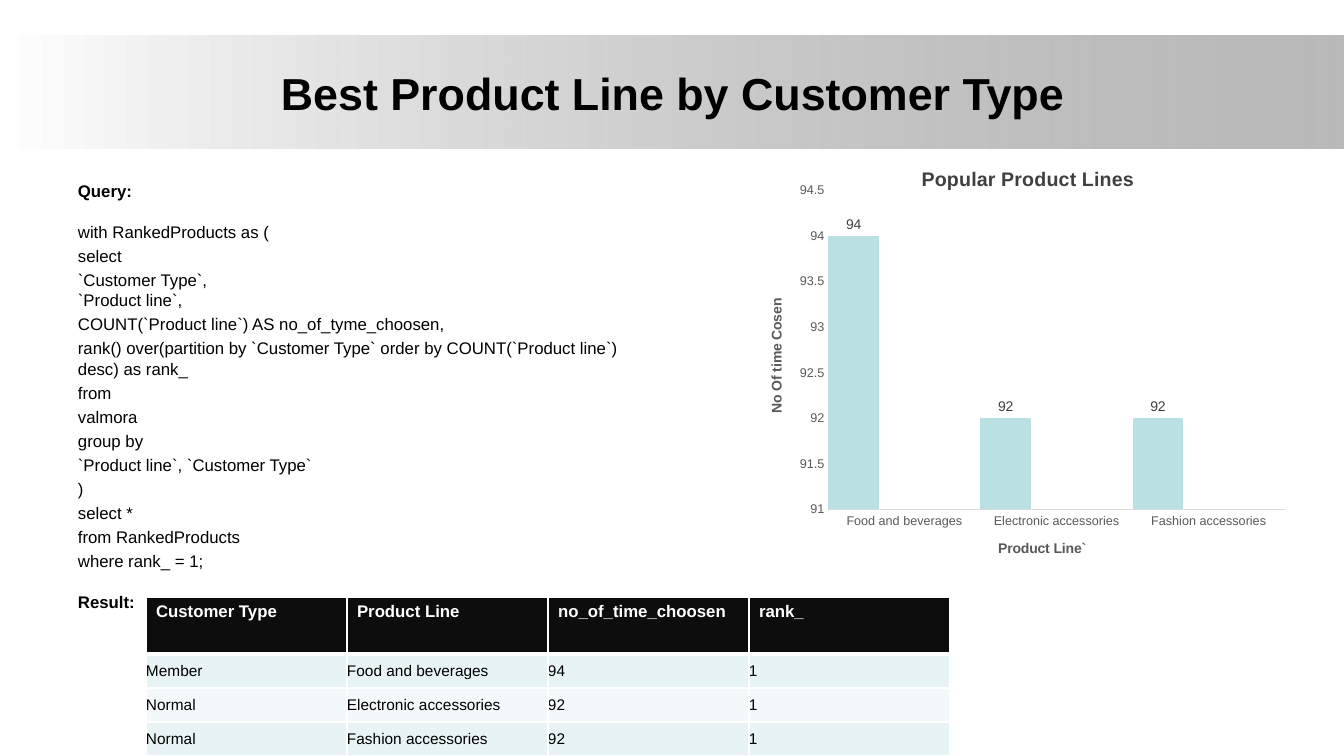
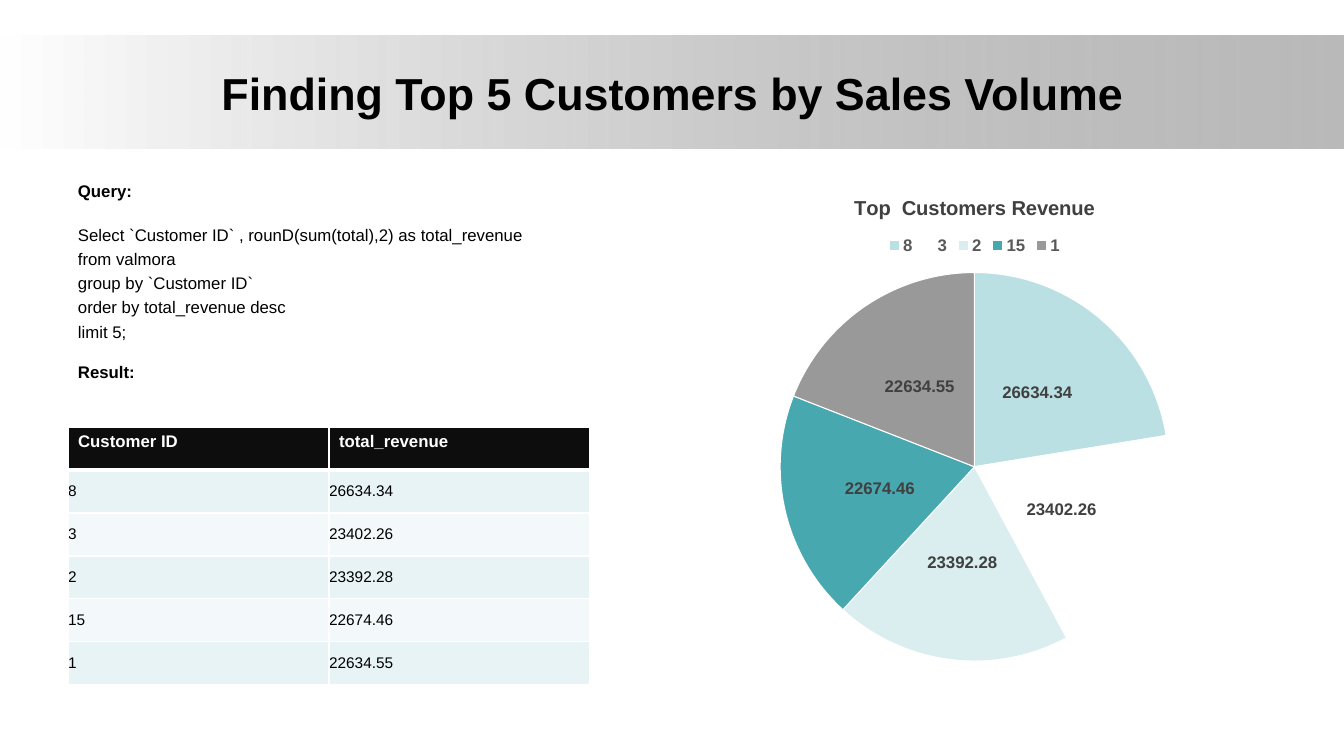
from lxml.etree import SubElement
from pptx import Presentation
from pptx.chart.data import CategoryChartData
from pptx.dml.color import RGBColor
from pptx.enum.chart import XL_CHART_TYPE, XL_LABEL_POSITION, XL_LEGEND_POSITION, XL_TICK_MARK
from pptx.enum.shapes import MSO_SHAPE
from pptx.enum.text import MSO_ANCHOR, PP_ALIGN
from pptx.oxml.ns import qn
from pptx.oxml import parse_xml
from pptx.util import Pt

PX = 9072
FONT = "Arial"
BLACK, WHITE, HEADER = "000000", "FFFFFF", "0D0D0D"
BANDS = ["E7F3F4", "F3F9FA"]
CHART_TITLE, CHART_TEXT, AXIS_LINE = "404040", "595959", "D9D9D9"
SLICES = ["BBE0E3", "FFFFFF", "DAEDEF", "48A8B0", "999999"]
COLUMNS = ["BBE0E3", "333399", "FFFFFF"]
colour = RGBColor.from_string


def style(font, size=12, hue=BLACK, bold=False):
    font.name = FONT
    font.size = Pt(size)
    font.bold = bold
    font.color.rgb = colour(hue)


def write(para, text, before=0, align=None, **look):
    para.text = text
    para.space_before = Pt(before)
    para.alignment = align
    for span in para.runs:
        style(span.font, **look)


SLIDES = [
    {
        "title": "Best Product Line by Customer Type",
        "query_gap": 14.6,
        "query": [
            "with RankedProducts as (",
            "select",
            "`Customer Type`,\n`Product line`,",
            "COUNT(`Product line`) AS no_of_tyme_choosen,",
            "rank() over(partition by `Customer Type` order by COUNT(`Product line`) desc) as rank_",
            "from",
            "valmora",
            "group by",
            "`Product line`, `Customer Type`",
            ")",
            "select *",
            "from RankedProducts",
            "where rank_ = 1;",
        ],
        "table_at": (146, 597),
        "column_width": 201,
        "row_heights": (57, 34),
        "rows": [
            ["Customer Type", "Product Line", "no_of_time_choosen", "rank_"],
            ["Member", "Food and beverages", "94", "1"],
            ["Normal", "Electronic accessories", "92", "1"],
            ["Normal", "Fashion accessories", "92", "1"],
        ],
        "chart_type": XL_CHART_TYPE.COLUMN_CLUSTERED,
        "chart_at": (756, 149, 544, 435),
        "chart_title": "Popular Product Lines",
        "title_size": 14,
        "categories": ["Food and beverages", "Electronic accessories", "Fashion accessories"],
        "series": [[94, 92, 92], [None] * 3, [None] * 3],
        "label_look": {"size": 10},
        "label_position": XL_LABEL_POSITION.OUTSIDE_END,
    },
    {
        "title": "Finding Top 5 Customers by Sales Volume",
        "query_gap": 17,
        "query": [
            "Select `Customer ID` , rounD(sum(total),2) as total_revenue",
            "from valmora",
            "group by `Customer ID`",
            "order by total_revenue desc",
            "limit 5;",
        ],
        "table_at": (68, 427),
        "column_width": 261,
        "row_heights": (43, 43),
        "rows": [
            ["Customer ID", "total_revenue"],
            ["8", "26634.34"],
            ["3", "23402.26"],
            ["2", "23392.28"],
            ["15", "22674.46"],
            ["1", "22634.55"],
        ],
        "chart_type": XL_CHART_TYPE.PIE,
        "chart_at": (672, 176, 605, 499),
        "chart_title": "Top  Customers Revenue",
        "title_size": 14.4,
        "categories": ["8", "3", "2", "15", "1"],
        "series": [[26634.34, 23402.26, 23392.28, 22674.46, 22634.55]],
        "label_look": {"size": 12, "bold": True},
        "label_position": XL_LABEL_POSITION.CENTER,
    },
]

deck = Presentation()
deck.slide_width, deck.slide_height = 1344 * PX, 756 * PX
charts = []

for content in SLIDES:
    page = deck.slides.add_slide(deck.slide_layouts[6])

    band = page.shapes.add_shape(MSO_SHAPE.RECTANGLE, 0, 36 * PX, 1344 * PX, 113 * PX)
    band.shadow.inherit = False
    band.line.fill.background()
    band.fill.gradient()
    band.fill.gradient_angle = 0
    for stop, hue in zip(band.fill.gradient_stops, [WHITE, "808080"]):
        stop.color.rgb = colour(hue)
    grey = band.element.findall(".//" + qn("a:srgbClr"))[-1]
    SubElement(grey, qn("a:alpha"), val="54000")

    title = page.shapes.add_textbox(68 * PX, 30 * PX, 1210 * PX, 126 * PX).text_frame
    title.word_wrap = True
    title.vertical_anchor = MSO_ANCHOR.MIDDLE
    write(title.paragraphs[0], content["title"], align=PP_ALIGN.CENTER, size=32, bold=True)

    body = page.shapes.add_textbox(68 * PX, 176 * PX, 594 * PX, 499 * PX).text_frame
    body.word_wrap = True
    write(body.paragraphs[0], "Query:", bold=True)
    for number, line in enumerate(content["query"]):
        write(body.add_paragraph(), line, before=2.8 if number else content["query_gap"])
    write(body.add_paragraph(), "Result:", before=14.6, bold=True)

    rows = content["rows"]
    left, top = content["table_at"]
    head_height, row_height = content["row_heights"]
    width = content["column_width"] * len(rows[0])
    height = head_height + row_height * (len(rows) - 1)
    table = page.shapes.add_table(
        len(rows), len(rows[0]), left * PX, top * PX, width * PX, height * PX
    ).table
    table.horz_banding = False
    for column in table.columns:
        column.width = content["column_width"] * PX
    for r, values in enumerate(rows):
        table.rows[r].height = (row_height if r else head_height) * PX
        for c, value in enumerate(values):
            cell = table.cell(r, c)
            if r:
                cell.margin_left = cell.margin_right = cell.margin_top = cell.margin_bottom = 0
                cell.vertical_anchor = MSO_ANCHOR.MIDDLE
                write(cell.text_frame.paragraphs[0], value, size=11)
            else:
                write(cell.text_frame.paragraphs[0], value, hue=WHITE, bold=True)
            edges = {"L": 1, "R": 1, "T": 3 if r == 1 else 1, "B": 1 if r else 3}
            properties = cell._tc.get_or_add_tcPr()
            for side, points in edges.items():
                edge = SubElement(properties, qn("a:ln" + side), w=str(Pt(points)))
                SubElement(SubElement(edge, qn("a:solidFill")), qn("a:srgbClr"), val=WHITE)
            cell.fill.solid()
            cell.fill.fore_color.rgb = colour(BANDS[(r - 1) % 2] if r else HEADER)

    data = CategoryChartData()
    data.categories = content["categories"]
    for number, values in enumerate(content["series"], 1):
        data.add_series(f"Series {number}", values)
    place = [length * PX for length in content["chart_at"]]
    chart = page.shapes.add_chart(content["chart_type"], *place, data).chart
    style(chart.font, size=10)
    chart.has_title = True
    write(
        chart.chart_title.text_frame.paragraphs[0], content["chart_title"],
        size=content["title_size"], hue=CHART_TITLE, bold=True,
    )
    chart.has_legend = False
    plot = chart.plots[0]
    plot.has_data_labels = True
    labels = plot.data_labels
    labels.show_value = True
    labels.position = content["label_position"]
    style(labels.font, hue=CHART_TITLE, **content["label_look"])
    charts.append(chart)

column_chart, pie_chart = charts

columns = column_chart.plots[0]
columns.vary_by_categories = False
columns.gap_width = 0
columns.overlap = 0
for series, hue in zip(columns.series, COLUMNS):
    series.format.fill.solid()
    series.format.fill.fore_color.rgb = colour(hue)

products, counts = column_chart.category_axis, column_chart.value_axis
for axis, name in [(products, "Product Line`"), (counts, "No Of time Cosen")]:
    axis.has_major_gridlines = False
    axis.major_tick_mark = axis.minor_tick_mark = XL_TICK_MARK.NONE
    style(axis.tick_labels.font, size=9, hue=CHART_TEXT)
    axis.has_title = True
    write(axis.axis_title.text_frame.paragraphs[0], name, size=10, hue=CHART_TEXT, bold=True)
products.format.line.color.rgb = colour(AXIS_LINE)
products.format.line.width = Pt(0.75)
counts.format.line.fill.background()
counts.minimum_scale, counts.maximum_scale, counts.major_unit = 91, 94.5, 0.5

area = column_chart.element.find(".//" + qn("c:plotArea"))
for old_layout in area.findall(qn("c:layout")):
    area.remove(old_layout)
area.insert(0, parse_xml(
    '<c:layout xmlns:c="http://schemas.openxmlformats.org/drawingml/2006/chart"><c:manualLayout>'
    '<c:layoutTarget val="inner"/><c:xMode val="edge"/><c:yMode val="edge"/>'
    '<c:x val="0.133"/><c:y val="0.096"/><c:w val="0.839"/><c:h val="0.733"/>'
    "</c:manualLayout></c:layout>"
))

pie = pie_chart.plots[0]
pie.vary_by_categories = True
for number, hue in enumerate(SLICES):
    slice_format = pie.series[0].points[number].format
    slice_format.fill.solid()
    slice_format.fill.fore_color.rgb = colour(hue)
    slice_format.line.color.rgb = colour(WHITE)
    slice_format.line.width = Pt(0.75)
pie_chart.has_legend = True
pie_chart.legend.position = XL_LEGEND_POSITION.TOP
pie_chart.legend.include_in_layout = False
style(pie_chart.legend.font, size=12, hue=CHART_TEXT, bold=True)

deck.save("out.pptx")
